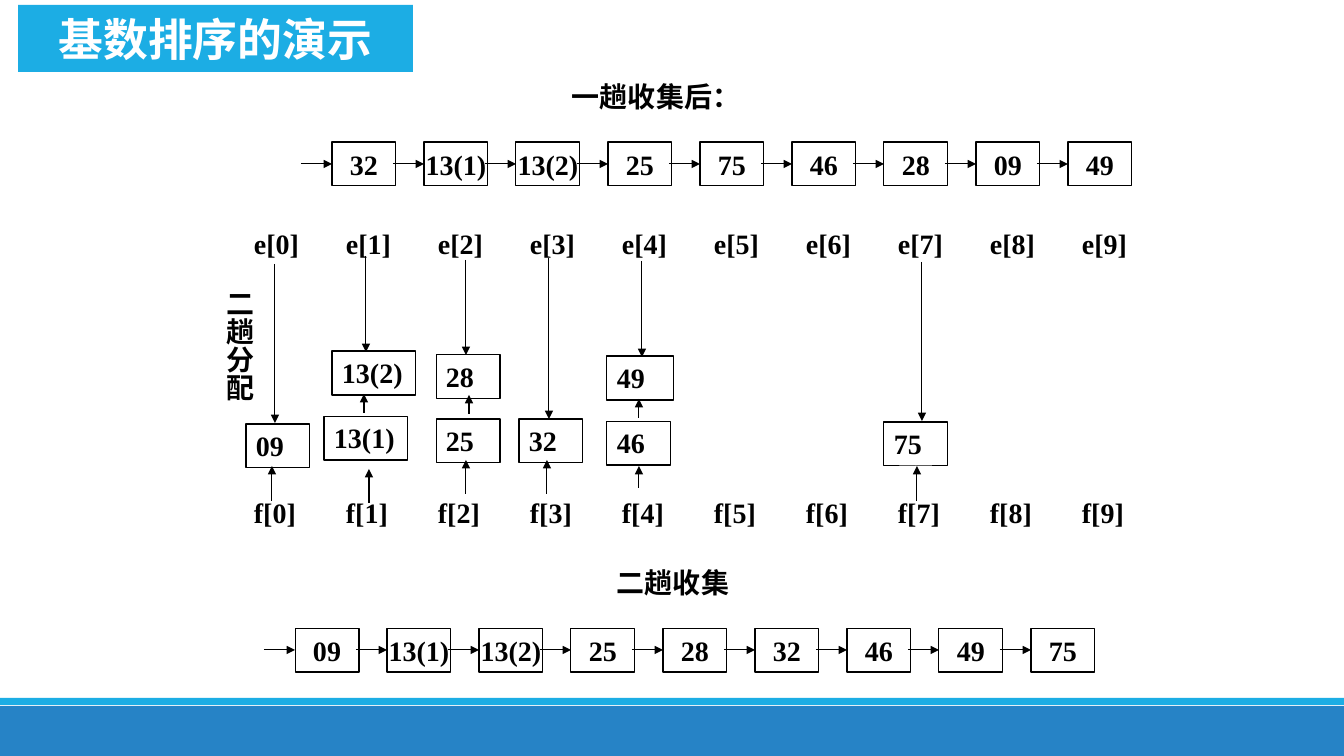
from lxml.etree import SubElement
from pptx import Presentation
from pptx.dml.color import RGBColor
from pptx.enum.shapes import MSO_CONNECTOR, MSO_SHAPE
from pptx.enum.text import MSO_ANCHOR, PP_ALIGN
from pptx.oxml.ns import qn
from pptx.util import Emu, Pt

SLIDE_WIDTH, SLIDE_HEIGHT = 1344, 756
EMU_PER_PX = 12192000 / SLIDE_WIDTH
COLORS = {"ink": "000000", "white": "FFFFFF", "sky": "1CADE4", "blue": "2683C6"}
LATIN_FONT, CHINESE_FONT = "Times New Roman", "Noto Sans CJK SC"

PITCH = 92
BOX_HEIGHT = 44
CHAIN_BOX_WIDTH = 64
FIRST_PASS = ["32", "13(1)", "13(2)", "25", "75", "46", "28", "09", "49"]
SECOND_PASS = ["09", "13(1)", "13(2)", "25", "28", "32", "46", "49", "75"]

# Queue nodes: text, left, top, width
NODES = [
    ("09", 246, 424, 64),
    ("13(2)", 332, 351, 84), ("13(1)", 324, 416, 84),
    ("28", 436, 355, 64), ("25", 436, 419, 64),
    ("32", 519, 419, 64),
    ("49", 607, 356, 67), ("46", 607, 421, 64),
    ("75", 884, 422, 64),
]
# Queue arrows: x, start y, end y
QUEUE_ARROWS = [
    (275, 264, 423), (272, 501, 466),
    (366, 256, 352), (364, 413, 394), (369, 503, 469),
    (466, 260, 355), (469, 414, 395), (466, 494, 460),
    (549, 258, 419), (547, 494, 460),
    (642, 261, 357), (639, 418, 399), (639, 488, 466),
    (922, 262, 421), (917, 501, 466),
]


def px(value):
    return Emu(round(value * EMU_PER_PX))


def color(name):
    return RGBColor.from_string(COLORS[name])


def write_text(shape, text, size=20, font=LATIN_FONT, ink="ink",
               align=PP_ALIGN.LEFT, anchor=MSO_ANCHOR.TOP, wrap=False):
    frame = shape.text_frame
    frame.word_wrap = wrap
    frame.vertical_anchor = anchor
    paragraph = frame.paragraphs[0]
    paragraph.alignment = align
    run = paragraph.add_run()
    run.text = text
    run.font.size = Pt(size)
    run.font.bold = True
    run.font.name = font
    run.font.color.rgb = color(ink)
    SubElement(run.font._element, qn("a:ea"), typeface=CHINESE_FONT)


def add_box(slide, left, top, width, height, fill=None, line=None):
    shape = slide.shapes.add_shape(
        MSO_SHAPE.RECTANGLE, px(left), px(top), px(width), px(height))
    shape.shadow.inherit = False
    if fill:
        shape.fill.solid()
        shape.fill.fore_color.rgb = color(fill)
    else:
        shape.fill.background()
    if line:
        shape.line.color.rgb = color(line)
        shape.line.width = Pt(0.75)
    else:
        shape.line.fill.background()
    return shape


def add_label(slide, text, left, top, width, height=BOX_HEIGHT, vertical=False):
    label = slide.shapes.add_textbox(px(left), px(top), px(width), px(height))
    write_text(label, text)
    if vertical:
        label.text_frame._txBody.bodyPr.set("vert", "eaVert")


def add_arrow(slide, x1, y1, x2, y2):
    arrow = slide.shapes.add_connector(
        MSO_CONNECTOR.STRAIGHT, px(x1), px(y1), px(x2), px(y2))
    arrow.line.color.rgb = color("ink")
    arrow.line.width = Pt(0.75)
    SubElement(arrow.line._get_or_add_ln(), qn("a:tailEnd"), type="triangle")
    SubElement(arrow._element.spPr, qn("a:effectLst"))


def add_chain(slide, values, first_left, top):
    for index, value in enumerate(values):
        left = first_left + index * PITCH
        box = add_box(slide, left, top, CHAIN_BOX_WIDTH, BOX_HEIGHT, line="ink")
        write_text(box, value, align=PP_ALIGN.CENTER, anchor=MSO_ANCHOR.MIDDLE)
        middle = top + BOX_HEIGHT // 2
        add_arrow(slide, left - 31, middle, left, middle)


def add_queues(slide):
    for index in range(10):
        left = 244 + index * PITCH
        add_label(slide, f"e[{index}]", left, 222, 65)
        add_label(slide, f"f[{index}]", left, 491, 62)
    for text, left, top, width in NODES:
        node = add_box(slide, left, top, width, BOX_HEIGHT, line="ink")
        write_text(node, text, wrap=True)
    for x, start, end in QUEUE_ARROWS:
        add_arrow(slide, x, start, x, end)


def main():
    presentation = Presentation()
    presentation.slide_width = px(SLIDE_WIDTH)
    presentation.slide_height = px(SLIDE_HEIGHT)
    slide = presentation.slides.add_slide(presentation.slide_layouts[6])

    # Footer bands
    add_box(slide, 0, 706, SLIDE_WIDTH, 50, fill="blue")
    add_box(slide, 0, 698, SLIDE_WIDTH, 7, fill="sky")

    # Title
    title = add_box(slide, 18, 5, 395, 67, fill="sky")
    write_text(title, "基数排序的演示", size=32, font=CHINESE_FONT, ink="white",
               align=PP_ALIGN.CENTER, anchor=MSO_ANCHOR.MIDDLE)

    # List after the first collection
    add_label(slide, "一趟收集后：", 562, 75, 192)
    add_chain(slide, FIRST_PASS, 332, 142)

    # Second distribution into queues
    add_label(slide, "二趟分配", 207, 280, 54, 122, vertical=True)
    add_queues(slide)

    # Second collection
    add_label(slide, "二趟收集", 607, 561, 134)
    add_chain(slide, SECOND_PASS, 295, 628)

    presentation.save("out.pptx")


if __name__ == "__main__":
    main()
